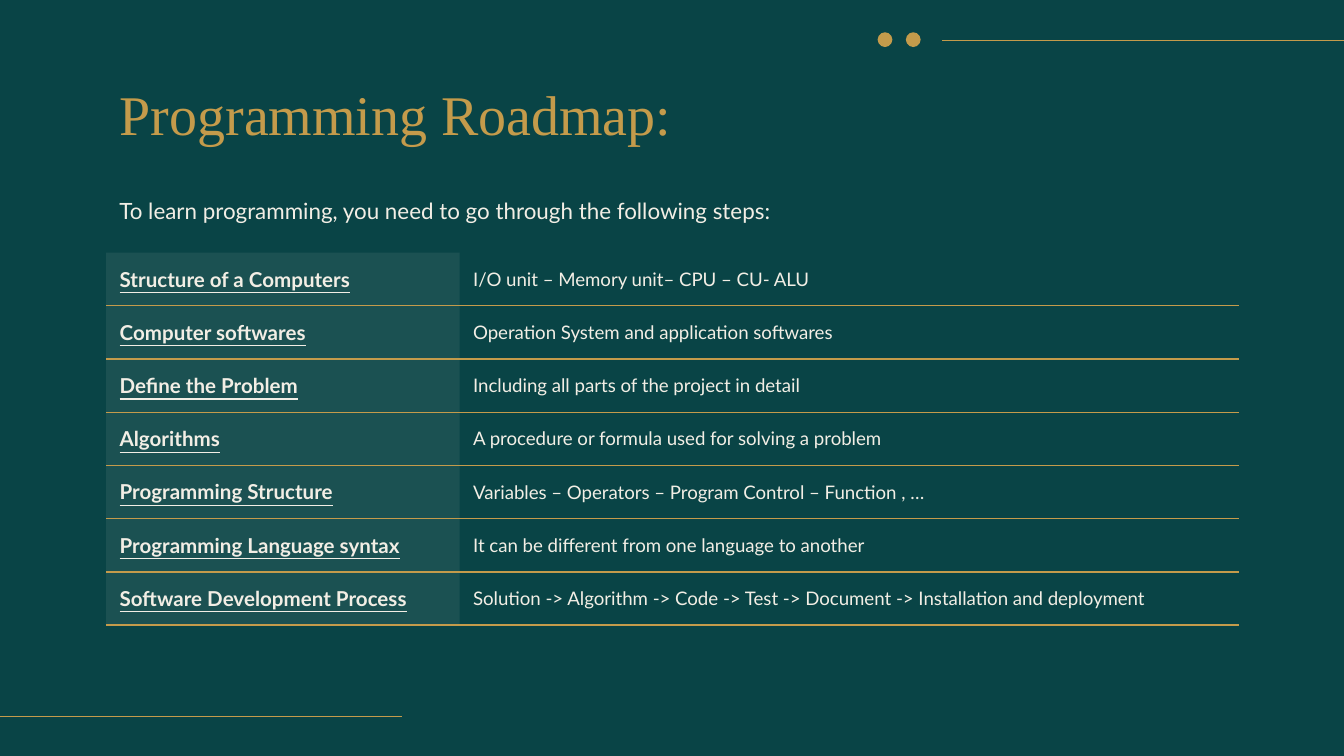
from typing import NamedTuple

from lxml import etree
from pptx import Presentation
from pptx import util as u
from pptx.dml.color import RGBColor
from pptx.enum import shapes, text
from pptx.oxml import ns

WIDTH = 10
HEIGHT = WIDTH * 9 / 16
COLORS = {"teal": "094446", "gold": "C49B4B", "cream": "F2EEE5"}
LEFT, COLUMNS, ROW = 0.79, (2.63, 5.8), 0.396
CONTENT = sum(COLUMNS)
RULE_WIDTH = u.Pt(0.75)
NO_STYLE = "{2D5ABB26-0587-4C30-8999-92F81FD0307C}"


class Style(NamedTuple):
    size: float
    font: str = "Lato"
    color: str = "cream"
    bold: bool = False
    underline: bool = False


class Step(NamedTuple):
    name: str
    detail: str


class Rule(NamedTuple):
    start: float
    end: float
    y: float


TITLE = Style(30, "Times New Roman", "gold")
INTRO = Style(12)
NAME = Style(11, bold=True, underline=True)
DETAIL = Style(10)

BASICS = [
    Step("Structure of a Computers", "I/O unit – Memory unit– CPU – CU- ALU"),
    Step("Computer softwares", "Operation System and application softwares"),
    Step("Define the Problem", "Including all parts of the project in detail"),
    Step("Algorithms", "A procedure or formula used for solving a problem"),
    Step("Programming Structure", "Variables – Operators – Program Control – Function , …"),
]
PRACTICE = [
    Step("Programming Language syntax", "It can be different from one language to another"),
    Step("Software Development Process",
         "Solution -> Algorithm -> Code -> Test -> Document -> Installation and deployment"),
]
RULES = [Rule(0.701, 1, 0.3), Rule(0, 0.299, 5.33)]


def rgb(name: str) -> RGBColor:
    return RGBColor.from_string(COLORS[name])


def write(frame, words: str, style: Style) -> None:
    frame.text = words
    frame.word_wrap = True
    frame.auto_size = text.MSO_AUTO_SIZE.NONE
    para = frame.paragraphs[0]
    para.alignment = text.PP_ALIGN.LEFT
    for span in para.runs:
        font = span.font
        font.name, font.size = style.font, u.Pt(style.size)
        font.bold, font.underline = style.bold, style.underline
        font.color.rgb = rgb(style.color)


def set_box(box, top: float, height: float) -> None:
    """Give a text shape the content width and even insets."""
    box.left, box.top = u.Inches(LEFT), u.Inches(top)
    box.width, box.height = u.Inches(CONTENT), u.Inches(height)
    frame = box.text_frame
    frame.margin_left = frame.margin_right = u.Inches(0.1)
    frame.margin_top = frame.margin_bottom = u.Inches(0.1)
    frame.vertical_anchor = text.MSO_ANCHOR.TOP


def draw_rule(page, rule: Rule) -> None:
    line = page.shapes.add_connector(
        shapes.MSO_CONNECTOR.STRAIGHT, u.Inches(rule.start * WIDTH), u.Inches(rule.y),
        u.Inches(rule.end * WIDTH), u.Inches(rule.y))
    line.line.color.rgb = rgb("gold")
    line.line.width = RULE_WIDTH
    etree.SubElement(line._element.spPr, ns.qn("a:effectLst"))


def draw_dot(page, left: float) -> None:
    dot = page.shapes.add_shape(shapes.MSO_SHAPE.OVAL, u.Inches(left), u.Inches(0.24),
                                u.Inches(0.11), u.Inches(0.11))
    dot.shadow.inherit = False
    dot.fill.solid()
    dot.fill.fore_color.rgb = rgb("gold")
    dot.line.fill.background()


def set_border(cell, side: str) -> None:
    """Draw one side of a cell; call for the bottom before the top."""
    line = etree.Element(ns.qn(f"a:{side}"), w=str(int(RULE_WIDTH)))
    fill = etree.SubElement(line, ns.qn("a:solidFill"))
    etree.SubElement(fill, ns.qn("a:srgbClr"), val=COLORS["gold"])
    cell._tc.get_or_add_tcPr().insert(0, line)


def tint(cell) -> None:
    """Fill a cell with 8 % cream."""
    cell.fill.solid()
    cell.fill.fore_color.rgb = rgb("cream")
    color = cell._tc.tcPr.find(".//" + ns.qn("a:srgbClr"))
    etree.SubElement(color, ns.qn("a:alpha"), val="8000")


def draw_steps(page, steps: list[Step], top: float, top_rule: bool) -> None:
    holder = page.shapes.add_table(
        len(steps), len(COLUMNS), u.Inches(LEFT), u.Inches(top),
        u.Inches(CONTENT), u.Inches(ROW * len(steps)))
    table = holder.table
    table.first_row = table.horz_banding = False
    table._tbl.tblPr.find(ns.qn("a:tableStyleId")).text = NO_STYLE
    for column, width in zip(table.columns, COLUMNS):
        column.width = u.Inches(width)
    for row, step in enumerate(steps):
        for column, (words, style) in enumerate(zip(step, (NAME, DETAIL))):
            cell = table.cell(row, column)
            write(cell.text_frame, words, style)
            cell.vertical_anchor = text.MSO_ANCHOR.MIDDLE
            cell.margin_left = cell.margin_right = u.Inches(0.1)
            cell.margin_top = cell.margin_bottom = u.Inches(0.1)
            if column == 0:
                tint(cell)
            else:
                cell.fill.background()
            set_border(cell, "lnB")
            if top_rule and row == 0:
                set_border(cell, "lnT")


def main() -> None:
    deck = Presentation()
    deck.slide_width, deck.slide_height = u.Inches(WIDTH), u.Inches(HEIGHT)
    page = deck.slides.add_slide(deck.slide_layouts[5])
    page.background.fill.solid()
    page.background.fill.fore_color.rgb = rgb("teal")

    for rule in RULES:
        draw_rule(page, rule)
    for left in (6.74, 6.53):
        draw_dot(page, left)

    title = page.shapes.title
    set_box(title, 0.49, 0.63)
    write(title.text_frame, "Programming Roadmap:", TITLE)

    intro = page.shapes.add_textbox(0, 0, 0, 0)
    set_box(intro, 1.37, 0.5)
    write(intro.text_frame,
          "To learn programming, you need to go through the following steps:", INTRO)

    top = 1.88
    draw_steps(page, BASICS, top, top_rule=False)
    draw_steps(page, PRACTICE, top + ROW * len(BASICS), top_rule=True)
    deck.save("out.pptx")


if __name__ == "__main__":
    main()
